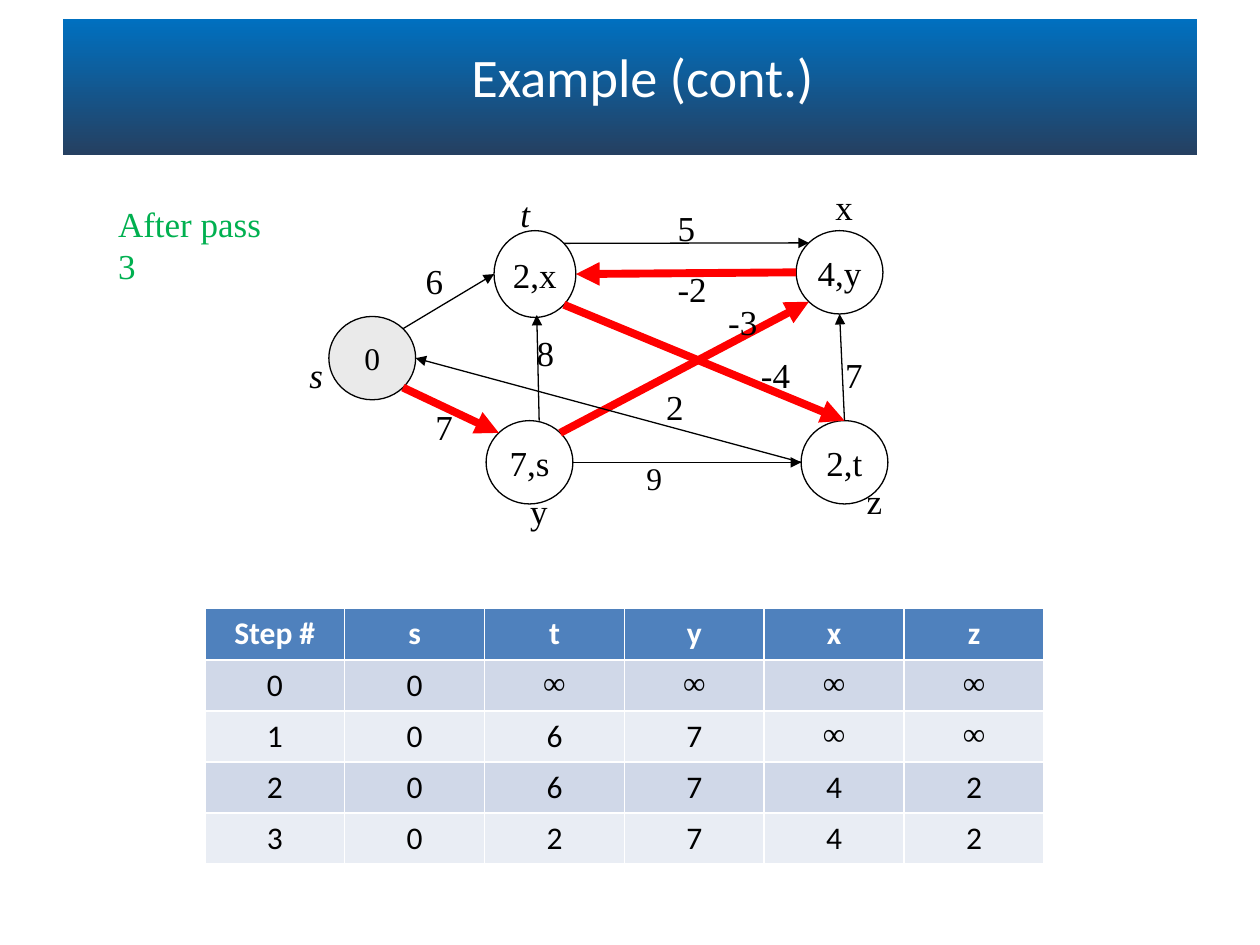
from math import cos, radians, sin

from pptx import Presentation
from pptx import util as u
from pptx.dml.color import RGBColor
from pptx.enum import shapes, text
from pptx.oxml.ns import qn
from lxml import etree

SERIF, SANS = "Times New Roman", "Calibri"
BLACK, WHITE, RED, GREEN = "000000", "FFFFFF", "FF0000", "00B050"

NODES = {
    "s": dict(label="0", at=(6.63, 6.38, 1.75, 1.68), fill="EAEAEA", size=18),
    "t": dict(label="2,x", at=(9.96, 4.65, 1.65, 1.75), fill=WHITE, size=20),
    "y": dict(label="7,s", at=(9.8, 8.48, 1.75, 1.68), fill=WHITE, size=20),
    "x": dict(label="4,y", at=(16.05, 4.65, 1.75, 1.68), fill=WHITE, size=20),
    "z": dict(label="2,t", at=(16.15, 8.48, 1.75, 1.68), fill=WHITE, size=20),
}
ANGLES = {
    "right": 0, "lower right": 45, "bottom": 90, "lower left": 135,
    "left": 180, "upper left": 225, "top": 270, "upper right": 315,
}
EDGES = [
    ("t", "upper right", "x", "upper left", False),
    ("y", "right", "z", "left", False),
    ("y", "upper right", "x", "lower left", True),
    ("s", "upper right", "t", "left", False),
    ("s", "lower right", "y", "upper left", True),
    ("z", "top", "x", "bottom", False),
    ("t", "lower right", "z", "top", True),
    ("z", "left", "s", "right", False),
    ("x", "left", "t", "right", True),
]
VERTICAL_EDGE = ((10.87, 8.48), (10.82, 6.35))
LABELS = [
    ("6", 8.33, 5.11, 0.86, {}),
    ("7", 8.53, 8.05, 0.86, {}),
    ("9", 12.78, 9.12, 0.83, {"size": 18}),
    ("5", 13.41, 4.04, 0.86, {}),
    ("-2", 13.41, 5.26, 1.09, {}),
    ("-3", 14.43, 5.94, 1.09, {}),
    ("8", 10.57, 6.55, 0.86, {}),
    ("7", 16.79, 7.01, 0.86, {}),
    ("-4", 15.09, 7.01, 1.09, {}),
    ("2", 13.18, 7.65, 0.86, {}),
    ("s", 5.99, 7.01, 0.79, {"italic": True}),
    ("t", 10.24, 3.76, 0.71, {"italic": True}),
    ("y", 10.44, 9.75, 0.86, {}),
    ("x", 16.59, 3.61, 0.86, {}),
    ("z", 17.22, 9.55, 0.81, {}),
    ("After pass 3", 2.13, 3.96, 3.91, {"color": GREEN}),
]
STEPS = [
    ["Step #", "s", "t", "y", "x", "z"],
    ["0", "0", "∞", "∞", "∞", "∞"],
    ["1", "0", "6", "7", "∞", "∞"],
    ["2", "0", "6", "7", "4", "2"],
    ["3", "0", "2", "7", "4", "2"],
]


def rgb(value):
    return RGBColor.from_string(value)


def lengths(*values):
    return [u.Cm(value) for value in values]


def write(frame, words, size=20, font=SERIF, color=BLACK, bold=False,
          italic=False, align=text.PP_ALIGN.LEFT):
    para = frame.paragraphs[0]
    para.alignment = align
    span = para.add_run()
    span.text = words
    span.font.size, span.font.name = u.Pt(size), font
    span.font.bold, span.font.italic = bold, italic
    span.font.color.rgb = rgb(color)


def add_banner(page):
    banner = page.shapes.add_shape(
        shapes.MSO_SHAPE.RECTANGLE, *lengths(1.27, 0.38, 22.86, 2.74))
    banner.shadow.inherit = False
    banner.line.fill.background()
    banner.fill.gradient()
    banner.fill.gradient_angle = 270
    for stop, color, position in zip(
            banner.fill.gradient_stops, ("0070C0", "254061"), (0, 1)):
        stop.color.rgb = rgb(color)
        stop.position = position
    page.shapes._spTree.insert(2, banner._element)


def add_title(page, words):
    title = page.shapes.title
    title.left, title.top, title.width, title.height = lengths(
        1.52, 0.64, 22.86, 1.78)
    title.text_frame.vertical_anchor = text.MSO_ANCHOR.MIDDLE
    write(title.text_frame, words, size=31, font=SANS, color=WHITE,
          align=text.PP_ALIGN.CENTER)


def add_table(page):
    columns, rows = len(STEPS[0]), len(STEPS)
    table = page.shapes.add_table(
        rows, columns, *lengths(4.13, 12.27, 2.82 * columns, 1.03 * rows)).table
    for r, row in enumerate(STEPS):
        header = r == 0
        fill = "4F81BD" if header else ("E9EDF4", "D0D8E8")[r % 2]
        for c, words in enumerate(row):
            cell = table.cell(r, c)
            cell.fill.solid()
            cell.fill.fore_color.rgb = rgb(fill)
            write(cell.text_frame, words, size=18, bold=header,
                  font=SERIF if words == "∞" else SANS,
                  color=WHITE if header else BLACK,
                  align=text.PP_ALIGN.CENTER)


def add_node(page, label, at, fill, size):
    node = page.shapes.add_shape(shapes.MSO_SHAPE.OVAL, *lengths(*at))
    node.shadow.inherit = False
    node.fill.solid()
    node.fill.fore_color.rgb = rgb(fill)
    node.line.color.rgb = rgb(BLACK)
    node.line.width = u.Pt(0.75)
    node.text_frame.word_wrap = False
    node.text_frame.vertical_anchor = text.MSO_ANCHOR.MIDDLE
    write(node.text_frame, label, size=size, align=text.PP_ALIGN.CENTER)


def rim(name, side):
    left, top, width, height = NODES[name]["at"]
    angle = radians(ANGLES[side])
    return (left + width / 2 * (1 + cos(angle)),
            top + height / 2 * (1 + sin(angle)))


def add_arrow(page, start, end, chosen=False):
    arrow = page.shapes.add_connector(
        shapes.MSO_CONNECTOR.STRAIGHT, *lengths(*start, *end))
    arrow.line.color.rgb = rgb(RED if chosen else BLACK)
    arrow.line.width = u.Pt(4.5 if chosen else 0.75)
    etree.SubElement(arrow.line._get_or_add_ln(), qn("a:tailEnd"), type="triangle")
    etree.SubElement(arrow._element.spPr, qn("a:effectLst"))


def add_label(page, words, left, top, width, style):
    box = page.shapes.add_textbox(*lengths(left, top, width, 1.09))
    box.text_frame.word_wrap = False
    write(box.text_frame, words, **style)


def main():
    deck = Presentation()
    deck.slide_width, deck.slide_height = lengths(25.4, 19.05)
    page = deck.slides.add_slide(deck.slide_layouts[5])
    add_banner(page)
    add_title(page, "Example (cont.)")
    add_table(page)
    for node in NODES.values():
        add_node(page, **node)
    for source, leave, target, arrive, chosen in EDGES:
        add_arrow(page, rim(source, leave), rim(target, arrive), chosen)
    add_arrow(page, *VERTICAL_EDGE)
    for label in LABELS:
        add_label(page, *label)
    deck.save("out.pptx")


if __name__ == "__main__":
    main()
